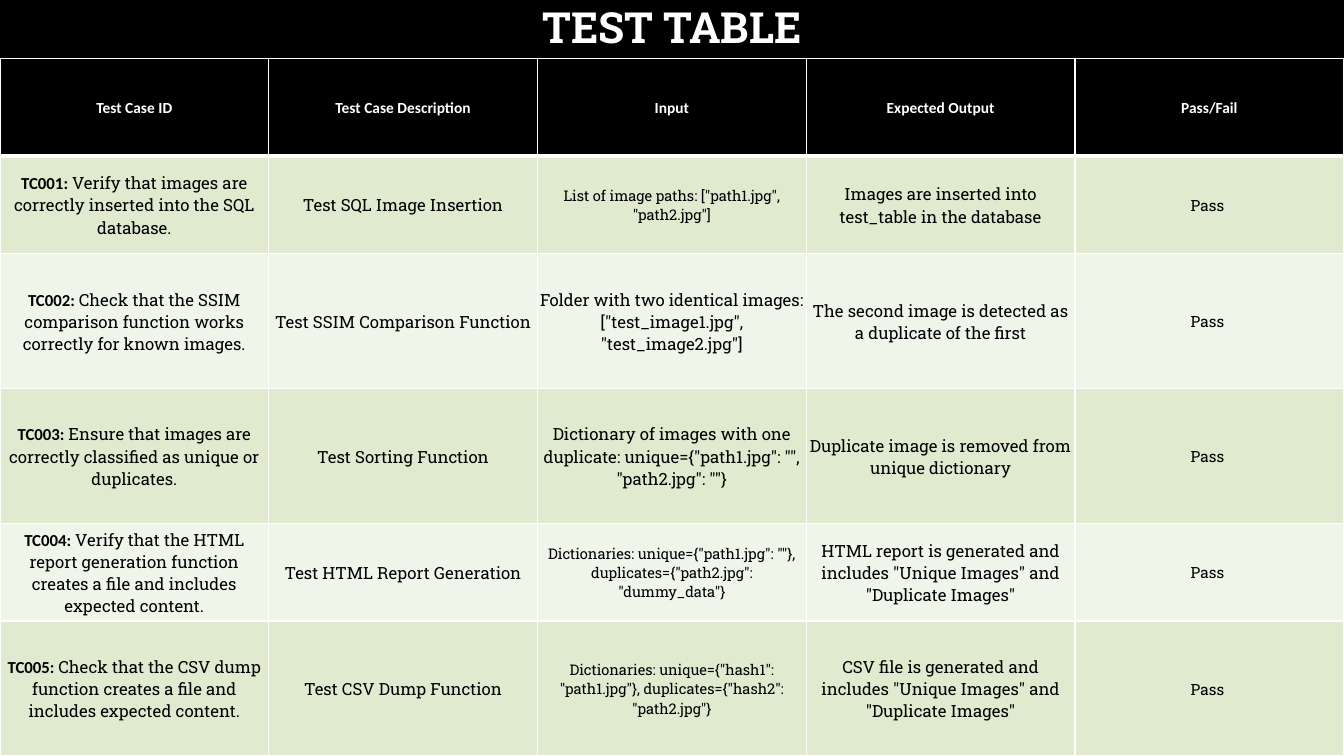
from lxml.etree import SubElement as Sub
from pptx import Presentation
from pptx.dml.color import RGBColor
from pptx.enum.text import MSO_ANCHOR as Anchor, PP_ALIGN as Align
from pptx.oxml.ns import qn
from pptx.util import Cm, Pt

SLAB, SANS = "Roboto Slab", "Calibri"
BLACK, WHITE = "000000", "FFFFFF"
BANDS = ["DFEACF", "F0F5E9"]


def paint(fill, tint):
    fill.solid()
    fill.fore_color.rgb = RGBColor.from_string(tint)


def add_run(para, text, size, face, tint, bold=False):
    run = para.add_run()
    run.text = text
    run.font.size = Pt(size)
    run.font.name = face
    run.font.bold = bold
    paint(run.font.fill, tint)


# Slide
deck = Presentation()
deck.slide_width, deck.slide_height = Cm(33.87), Cm(19.05)
slide = deck.slides.add_slide(deck.slide_layouts[5])
paint(slide.background.fill, BLACK)

# Title
title = slide.shapes.title
title.left, title.top, title.width, title.height = Cm(0), Cm(0), Cm(33.87), Cm(1.47)
frame = title.text_frame
frame.vertical_anchor = Anchor.MIDDLE
para = frame.paragraphs[0]
para.alignment = Align.CENTER
para.line_spacing = 0.9
add_run(para, "TEST TABLE", 30.6, SLAB, WHITE, True)

# Table text: check, description, input, input size, expected output
heads = ["Test Case ID", "Test Case Description", "Input", "Expected Output", "Pass/Fail"]
cases = [
    ("Verify that images are correctly inserted into the SQL database.",
     "Test SQL Image Insertion",
     'List of image paths: ["path1.jpg", "path2.jpg"]', 10.5,
     "Images are inserted into test_table in the database"),
    ("Check that the SSIM comparison function works correctly for known images.",
     "Test SSIM Comparison Function",
     'Folder with two identical images: ["test_image1.jpg", "test_image2.jpg"]', 12,
     "The second image is detected as a duplicate of the first"),
    ("Ensure that images are correctly classified as unique or duplicates.",
     "Test Sorting Function",
     'Dictionary of images with one duplicate: unique={"path1.jpg": "", "path2.jpg": ""}', 12,
     "Duplicate image is removed from unique dictionary"),
    ("Verify that the HTML report generation function creates a file "
     "and includes expected content.",
     "Test HTML Report Generation",
     'Dictionaries: unique={"path1.jpg": ""}, duplicates={"path2.jpg": "dummy_data"}', 10.5,
     'HTML report is generated and includes "Unique Images" and "Duplicate Images"'),
    ("Check that the CSV dump function creates a file and includes expected content.",
     "Test CSV Dump Function",
     'Dictionaries: unique={"hash1": "path1.jpg"}, duplicates={"hash2": "path2.jpg"}', 10.5,
     'CSV file is generated and includes "Unique Images" and "Duplicate Images"'),
]

# Each cell is a list of runs
grid = [[[(head, 11, SANS, WHITE, True)] for head in heads]]
for num, (check, about, given, size, result) in enumerate(cases, 1):
    grid.append([
        [(f"TC{num:03}: ", 12, SANS, BLACK, True), (check, 12, SLAB, BLACK)],
        [(about, 12, SLAB, BLACK)],
        [(given, size, SLAB, BLACK)],
        [(result, 12, SLAB, BLACK)],
        [("Pass ", 11, SLAB, BLACK)],
    ])

# Table frame
low, high = 2.46, 3.4
table = slide.shapes.add_table(6, 5, Cm(0), Cm(1.47), Cm(33.87), Cm(17.58)).table
for col in table.columns:
    col.width = Cm(33.87 / 5)
for row, tall in zip(table.rows, [low, low, high, high, low, high]):
    row.height = Cm(tall)

# Cells: borders come before the fill
for r, line in enumerate(grid):
    for c, runs in enumerate(line):
        cell = table.cell(r, c)
        cell.vertical_anchor = Anchor.MIDDLE
        cell.margin_left = cell.margin_right = cell.margin_top = Cm(0.03)
        cell.margin_bottom = Cm(0)
        props = cell._tc.get_or_add_tcPr()
        for side in "LRTB":
            thick = (r, side) in [(0, "B"), (1, "T")]
            edge = Sub(props, qn(f"a:ln{side}"), w=str(Pt(3 if thick else 1)))
            Sub(Sub(edge, qn("a:solidFill")), qn("a:srgbClr"), val=WHITE)
        paint(cell.fill, BANDS[(r - 1) % 2] if r else BLACK)
        para = cell.text_frame.paragraphs[0]
        para.alignment = Align.CENTER
        for run in runs:
            add_run(para, *run)

deck.save("out.pptx")
